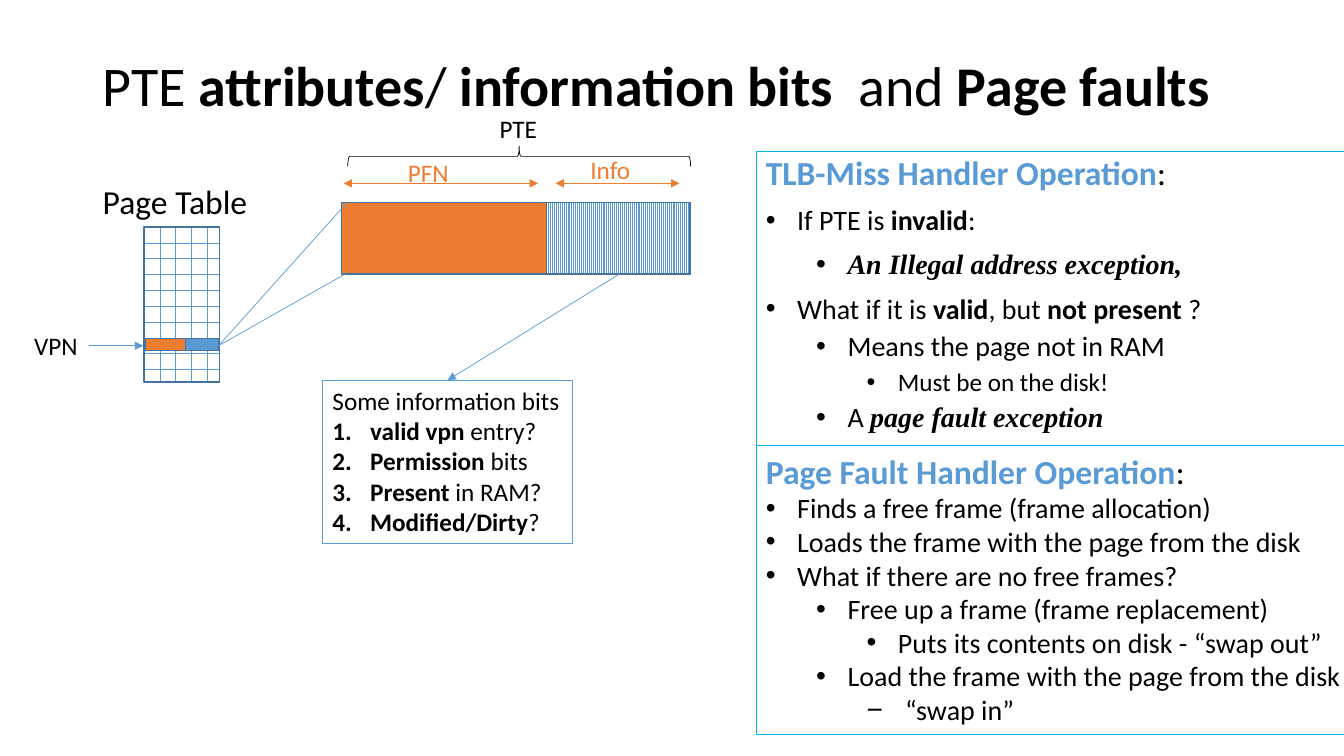
from dataclasses import dataclass

from lxml import etree
from pptx import Presentation
from pptx.dml.color import RGBColor
from pptx.enum.dml import MSO_PATTERN
from pptx.enum.shapes import MSO_CONNECTOR, MSO_SHAPE
from pptx.enum.text import MSO_ANCHOR
from pptx.oxml.ns import qn
from pptx.slide import Slide
from pptx.text.text import _Paragraph
from pptx.util import Cm, Pt

STRAIGHT = MSO_CONNECTOR.STRAIGHT
RECTANGLE = MSO_SHAPE.RECTANGLE
RIGHT_BRACE = MSO_SHAPE.RIGHT_BRACE
DOTTED_GRID = MSO_PATTERN.DOTTED_GRID
LIGHT_VERTICAL = MSO_PATTERN.LIGHT_VERTICAL
TOP = MSO_ANCHOR.TOP
BOTTOM = MSO_ANCHOR.BOTTOM

BLACK = RGBColor(0x00, 0x00, 0x00)
WHITE = RGBColor(0xFF, 0xFF, 0xFF)
BLUE = RGBColor(0x5B, 0x9B, 0xD5)
EDGE_BLUE = RGBColor(0x43, 0x73, 0x9E)
PANEL_BLUE = RGBColor(0x00, 0xB0, 0xF0)
ORANGE = RGBColor(0xED, 0x7D, 0x31)

BODY_FONT = "Calibri"
SERIF_FONT = "Times New Roman"
NUMBERED = "1."
HANGING = 0.79
LEVEL_STEP = 1.27


@dataclass
class Span:
    text: str
    bold: bool = False
    serif: bool = False
    color: RGBColor = BLACK


@dataclass
class Line:
    spans: list[Span]
    size: float = 20
    level: int = 0
    bullet: str = ""
    before: float = 0
    hanging: float = HANGING


@dataclass
class TextBlock:
    place: tuple[float, float, float, float]
    lines: list[Line]
    wrap: bool = False
    anchor: MSO_ANCHOR = TOP
    spacing: float = 1.0
    outline: RGBColor | None = None
    outline_width: float = 0.25


@dataclass
class Block:
    place: tuple[float, float, float, float]
    fill: RGBColor
    pattern: MSO_PATTERN | None = None


@dataclass
class Arrow:
    start: tuple[float, float]
    end: tuple[float, float]
    color: RGBColor = BLUE
    head: bool = False
    tail: bool = False


def label(text: str, left: float, top: float, width: float, color: RGBColor = BLACK) -> TextBlock:
    return TextBlock((left, top, width, 1.02), [Line([Span(text, color=color)], 18)])


def heading(text: str) -> Line:
    return Line([Span(text, bold=True, color=BLUE), Span(":")], 24)


def point(text: str, level: int = 0) -> Line:
    return Line([Span(text)], level=level, bullet="•")


def numbered(strong: str, rest: str) -> Line:
    return Line([Span(strong, bold=True), Span(rest)], 18, bullet=NUMBERED, hanging=0.95)


BLOCKS = [
    Block((3.63, 5.72, 1.91, 3.91), BLUE, DOTTED_GRID),
    Block((3.61, 8.53, 1.91, 0.3), BLUE),
    Block((3.66, 8.53, 1.02, 0.3), ORANGE),
    Block((8.61, 5.11, 8.79, 1.8), ORANGE),
    Block((13.77, 5.11, 3.61, 1.8), BLUE, LIGHT_VERTICAL),
]

ARROWS = [
    Arrow((5.51, 8.71), (8.74, 5.11)),
    Arrow((8.69, 6.91), (5.51, 8.71)),
    Arrow((15.6, 6.91), (11.28, 9.58), tail=True),
    Arrow((2.24, 8.71), (3.61, 8.71), tail=True),
    Arrow((8.66, 4.62), (13.56, 4.62), ORANGE, head=True, tail=True),
    Arrow((14, 4.62), (17.12, 4.62), ORANGE, head=True, tail=True),
]

TEXT_BLOCKS = [
    TextBlock((2.34, 0.53, 29.21, 2.59), [Line([
        Span("PTE "), Span("attributes", bold=True), Span("/ "),
        Span("information bits  ", bold=True), Span("and "), Span("Page faults", bold=True),
    ], 40)], wrap=True, anchor=BOTTOM, spacing=0.9),
    TextBlock((2.34, 1.27, 10.92, 4.45), [Line([Span("Page Table")], 24)],
              wrap=True, anchor=BOTTOM, spacing=0.9),
    label("PTE", 12.34, 2.74, 1.47),
    label("PFN", 10.03, 3.84, 1.55, ORANGE),
    label("Info", 14.63, 3.76, 1.52, ORANGE),
    label("VPN", 0.61, 8.2, 1.63),
    TextBlock((8.13, 9.58, 6.3, 4.11), [
        Line([Span("Some information bits")], 18),
        numbered("valid vpn ", "entry?"),
        numbered("Permission", " bits"),
        numbered("Present", " in RAM?"),
        numbered("Modified/Dirty", "?"),
    ], outline=BLUE, outline_width=0.75),
    TextBlock((19.05, 3.81, 15.01, 7.42), [
        heading("TLB-Miss Handler Operation"),
        Line([Span("If PTE is "), Span("invalid", bold=True), Span(":")], bullet="•", before=10),
        Line([Span("An Illegal address exception,", serif=True)], level=1, bullet="•", before=10),
        Line([Span("What if it is "), Span("valid", bold=True), Span(", but "),
              Span("not present ", bold=True), Span("?")], bullet="•", before=10),
        Line([Span("Means the page not in RAM")], level=1, bullet="•", before=5),
        Line([Span("Must be on the disk!")], 18, level=2, bullet="•", before=5),
        Line([Span("A "), Span("page fault exception", serif=True)], level=1, bullet="•", before=5),
    ], wrap=True, spacing=0.9, outline=PANEL_BLUE),
    TextBlock((19.05, 11.23, 15.01, 7.26), [
        heading("Page Fault Handler Operation"),
        point("Finds a free frame (frame allocation)"),
        point("Loads the frame with the page from the disk"),
        point("What if there are no free frames?"),
        point("Free up a frame (frame replacement)", 1),
        point("Puts its contents on disk - “swap out”", 2),
        point("Load the frame with the page from the disk", 1),
        Line([Span("“swap in”")], level=2, bullet="−", hanging=0.97),
    ], wrap=True, outline=PANEL_BLUE),
]


def add_bullet(para: _Paragraph, line: Line) -> None:
    properties = para._p.get_or_add_pPr()
    properties.set("marL", str(Cm(line.level * LEVEL_STEP + line.hanging)))
    properties.set("indent", str(-Cm(line.hanging)))
    if line.bullet == NUMBERED:
        etree.SubElement(properties, qn("a:buAutoNum"), type="arabicPeriod")
    else:
        etree.SubElement(properties, qn("a:buFont"), typeface="Arial")
        etree.SubElement(properties, qn("a:buChar"), char=line.bullet)


def add_text(page: Slide, block: TextBlock) -> None:
    box = page.shapes.add_textbox(*map(Cm, block.place))
    if block.outline is not None:
        box.line.color.rgb = block.outline
        box.line.width = Pt(block.outline_width)
    frame = box.text_frame
    frame.word_wrap = block.wrap
    frame.vertical_anchor = block.anchor
    for index, line in enumerate(block.lines):
        para = frame.add_paragraph() if index else frame.paragraphs[0]
        if line.bullet:
            add_bullet(para, line)
        para.line_spacing = block.spacing
        para.space_before = Pt(line.before)
        for span in line.spans:
            run = para.add_run()
            run.text = span.text
            run.font.name = SERIF_FONT if span.serif else BODY_FONT
            run.font.size = Pt(line.size)
            run.font.bold = span.bold or span.serif
            run.font.italic = span.serif
            run.font.color.rgb = span.color


def add_block(page: Slide, block: Block) -> None:
    shape = page.shapes.add_shape(RECTANGLE, *map(Cm, block.place))
    shape.shadow.inherit = False
    if block.pattern is None:
        shape.fill.solid()
        shape.fill.fore_color.rgb = block.fill
    else:
        shape.fill.patterned()
        shape.fill.pattern = block.pattern
        shape.fill.fore_color.rgb = block.fill
        shape.fill.back_color.rgb = WHITE
    shape.line.color.rgb = EDGE_BLUE
    shape.line.width = Pt(1)


def add_arrow(page: Slide, arrow: Arrow) -> None:
    connector = page.shapes.add_connector(STRAIGHT, *map(Cm, arrow.start + arrow.end))
    connector.line.color.rgb = arrow.color
    connector.line.width = Pt(0.5)
    outline = connector.line._get_or_add_ln()
    for tag, shown in (("a:headEnd", arrow.head), ("a:tailEnd", arrow.tail)):
        if shown:
            etree.SubElement(outline, qn(tag), type="triangle")
    etree.SubElement(connector._element.spPr, qn("a:effectLst"))


def add_brace(page: Slide) -> None:
    brace = page.shapes.add_shape(RIGHT_BRACE, Cm(12.83), Cm(-0.38), Cm(0.51), Cm(8.64))
    brace.rotation = 270
    brace.shadow.inherit = False
    brace.fill.background()
    brace.line.color.rgb = BLACK
    brace.line.width = Pt(0.5)


def main() -> None:
    deck = Presentation()
    deck.slide_width, deck.slide_height = Cm(33.87), Cm(19.05)
    page = deck.slides.add_slide(deck.slide_layouts[6])
    for block in BLOCKS:
        add_block(page, block)
    for arrow in ARROWS:
        add_arrow(page, arrow)
    add_brace(page)
    for text_block in TEXT_BLOCKS:
        add_text(page, text_block)
    deck.save("out.pptx")


if __name__ == "__main__":
    main()
